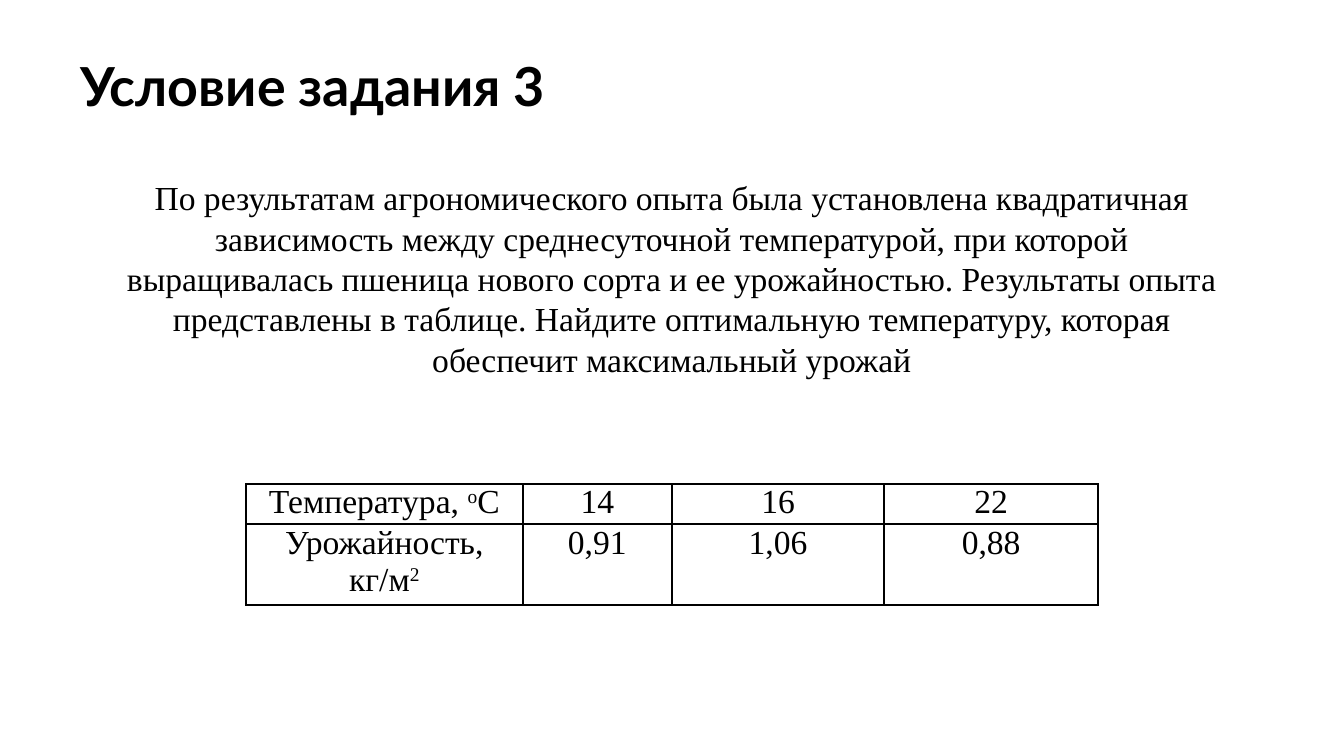
from lxml import etree
from pptx import Presentation
from pptx import util as u
from pptx.dml.color import RGBColor
from pptx.enum import text
from pptx.oxml import ns

COLORS = {"ink": "000000", "paper": "FFFFFF"}
TITLE_FONT = {"name": "Lato", "size": u.Pt(28.8), "bold": True}
BODY_FONT = {"name": "Times New Roman", "size": u.Pt(18), "bold": False}
CENTER = text.PP_ALIGN.CENTER
SLIDE_WIDTH = 10
SLIDE_HEIGHT = SLIDE_WIDTH * 9 / 16

TASK = (
    "По результатам агрономического опыта была установлена квадратичная "
    "зависимость между среднесуточной температурой, при которой выращивалась "
    "пшеница нового сорта и ее урожайностью. Результаты опыта представлены "
    "в таблице. Найдите оптимальную температуру, которая обеспечит "
    "максимальный урожай"
)
# Each cell is a list of text parts; every second part is superscript
ROWS = [
    [["Температура, ", "о", "С"], ["14"], ["16"], ["22"]],
    [["Урожайность, кг/м", "2"], ["0,91"], ["1,06"], ["0,88"]],
]
COLUMN_WIDTHS = [2.06, 1.11, 1.58, 1.59]
ROW_HEIGHTS = [0.3, 0.6]


def set_values(target, values):
    for name, value in values.items():
        setattr(target, name, value)


def write_parts(paragraph, parts, font_values):
    for index, part in enumerate(parts):
        run = paragraph.add_run()
        run.text = part
        set_values(run.font, font_values)
        run.font.color.rgb = RGBColor.from_string(COLORS["ink"])
        if index % 2:
            run.font._element.set("baseline", "30000")


def add_text(slide, box, content, font_values, frame_values, paragraph_values):
    shape = slide.shapes.add_textbox(*(u.Inches(length) for length in box))
    set_values(shape.text_frame, {"word_wrap": True, **frame_values})
    paragraph = shape.text_frame.paragraphs[0]
    set_values(paragraph, paragraph_values)
    write_parts(paragraph, [content], font_values)


def add_borders(cell):
    properties = cell._tc.get_or_add_tcPr()
    for index, side in enumerate(("lnL", "lnR", "lnT", "lnB")):
        line = etree.Element(ns.qn(f"a:{side}"), w=str(u.Pt(1)))
        fill = etree.SubElement(line, ns.qn("a:solidFill"))
        etree.SubElement(fill, ns.qn("a:srgbClr"), val=COLORS["ink"])
        properties.insert(index, line)


def add_data_table(slide, left, top):
    frame = slide.shapes.add_table(
        len(ROWS), len(COLUMN_WIDTHS), u.Inches(left), u.Inches(top),
        u.Inches(sum(COLUMN_WIDTHS)), u.Inches(sum(ROW_HEIGHTS)))
    table = frame.table
    set_values(table, {"first_row": False, "horz_banding": False})
    for column, width in zip(table.columns, COLUMN_WIDTHS):
        column.width = u.Inches(width)
    for row, height, contents in zip(table.rows, ROW_HEIGHTS, ROWS):
        row.height = u.Inches(height)
        for cell, parts in zip(row.cells, contents):
            set_values(cell, {
                "margin_left": u.Inches(0.07), "margin_right": u.Inches(0.07),
                "margin_top": 0, "margin_bottom": 0})
            cell.fill.background()
            add_borders(cell)
            paragraph = cell.text_frame.paragraphs[0]
            paragraph.alignment = CENTER
            write_parts(paragraph, parts, BODY_FONT)


def main():
    presentation = Presentation()
    set_values(presentation, {
        "slide_width": u.Inches(SLIDE_WIDTH),
        "slide_height": u.Inches(SLIDE_HEIGHT)})
    slide = presentation.slides.add_slide(presentation.slide_layouts[6])
    background = slide.background.fill
    background.solid()
    background.fore_color.rgb = RGBColor.from_string(COLORS["paper"])

    # Title
    add_text(slide, (0.5, 0.34, 7.46, 0.58), "Условие задания 3", TITLE_FONT,
             {"vertical_anchor": text.MSO_ANCHOR.MIDDLE}, {})
    # Task statement
    add_text(slide, (0.73, 1.27, 8.54, 1.62), TASK, BODY_FONT, {},
             {"alignment": CENTER, "line_spacing": u.Pt(21.6)})
    # Experiment results
    add_data_table(slide, 1.83, 3.6)

    presentation.save("out.pptx")


if __name__ == "__main__":
    main()
